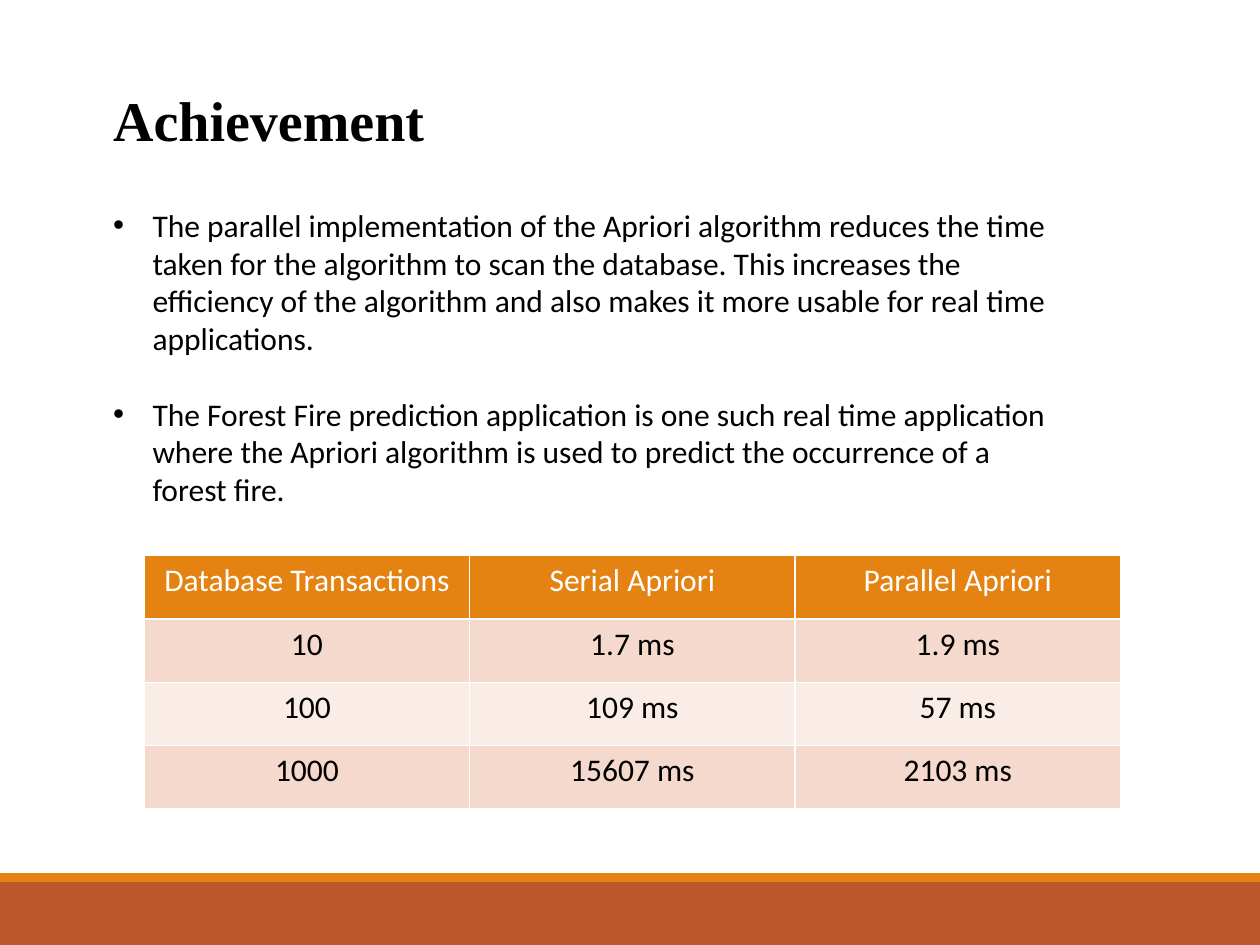
from lxml.etree import SubElement
from pptx import Presentation
from pptx.dml.color import RGBColor
from pptx.enum.shapes import MSO_SHAPE as Shape
from pptx.enum.text import PP_ALIGN as Align
from pptx.oxml.ns import qn
from pptx.util import Pt

# Content
TITLE = "Achievement"
POINTS = [
    "The parallel implementation of the Apriori algorithm reduces the time "
    "taken for the algorithm to scan the database. This increases the "
    "efficiency of the algorithm and also makes it more usable for real time "
    "applications.",
    "The Forest Fire prediction application is one such real time application "
    "where the Apriori algorithm is used to predict the occurrence of a "
    "forest fire.",
]
ROWS = [
    ("Database Transactions", "Serial Apriori", "Parallel Apriori"),
    ("10", "1.7 ms", "1.9 ms"),
    ("100", "109 ms", "57 ms"),
    ("1000", "15607 ms", "2103 ms"),
]

# Colours
BLACK = RGBColor(0x00, 0x00, 0x00)
WHITE = RGBColor(0xFF, 0xFF, 0xFF)
RUST = RGBColor(0xBD, 0x58, 0x2C)
ORANGE = RGBColor(0xE4, 0x83, 0x12)
BANDS = [RGBColor(0xFA, 0xED, 0xE7), RGBColor(0xF5, 0xD9, 0xCC)]

# Layout in points
WIDTH, HEIGHT = 720, 540
BARS = [(504, 36, RUST), (499, 5, ORANGE)]
LEFT = 57.6
INDENT = 22.5
LINE = 21.5
COL, ROW = 186, 36.2


def style(para, size, color, name="Calibri", bold=False):
    font = para.font
    font.size, font.name, font.bold = Pt(size), name, bold
    font.color.rgb = color


def add_text(top, width, height, wrap):
    box = slide.shapes.add_textbox(Pt(LEFT), Pt(top), Pt(width), Pt(height))
    box.text_frame.word_wrap = wrap
    return box.text_frame


def add_bullet(para):
    props = para._p.get_or_add_pPr()
    props.set("marL", str(Pt(INDENT)))
    props.set("indent", str(-Pt(INDENT)))
    SubElement(props, qn("a:buFont"), typeface="Arial")
    SubElement(props, qn("a:buChar"), char="•")


deck = Presentation()
deck.slide_width, deck.slide_height = Pt(WIDTH), Pt(HEIGHT)
slide = deck.slides.add_slide(deck.slide_layouts[6])

# Footer bars
for top, height, color in BARS:
    bar = slide.shapes.add_shape(Shape.RECTANGLE, 0, Pt(top), Pt(WIDTH), Pt(height))
    bar.shadow.inherit = False
    bar.fill.solid()
    bar.fill.fore_color.rgb = color
    bar.line.fill.background()

# Title
head = add_text(45.5, 215, 46, False).paragraphs[0]
head.text = TITLE
style(head, 32, BLACK, "Times New Roman", True)

# Bullet points, one line apart
body = add_text(114, 561.6, 181.4, True)
for i, point in enumerate(POINTS):
    para = body.add_paragraph() if i else body.paragraphs[0]
    para.text = point
    para.space_before = Pt(LINE if i else 0)
    add_bullet(para)
    style(para, 18, BLACK)

# Table of timings; its default style draws the white rules
cols = len(ROWS[0])
table = slide.shapes.add_table(len(ROWS), cols, Pt(82.4), Pt(317.5),
                               Pt(COL * cols), Pt(ROW * len(ROWS))).table
for col in table.columns:
    col.width = Pt(COL)
for r, row in enumerate(ROWS):
    table.rows[r].height = Pt(ROW)
    for c, text in enumerate(row):
        cell = table.cell(r, c)
        cell.fill.solid()
        cell.fill.fore_color.rgb = BANDS[r % 2] if r else ORANGE
        para = cell.text_frame.paragraphs[0]
        para.text, para.alignment = text, Align.CENTER
        style(para, 18, BLACK if r else WHITE)

deck.save("out.pptx")
